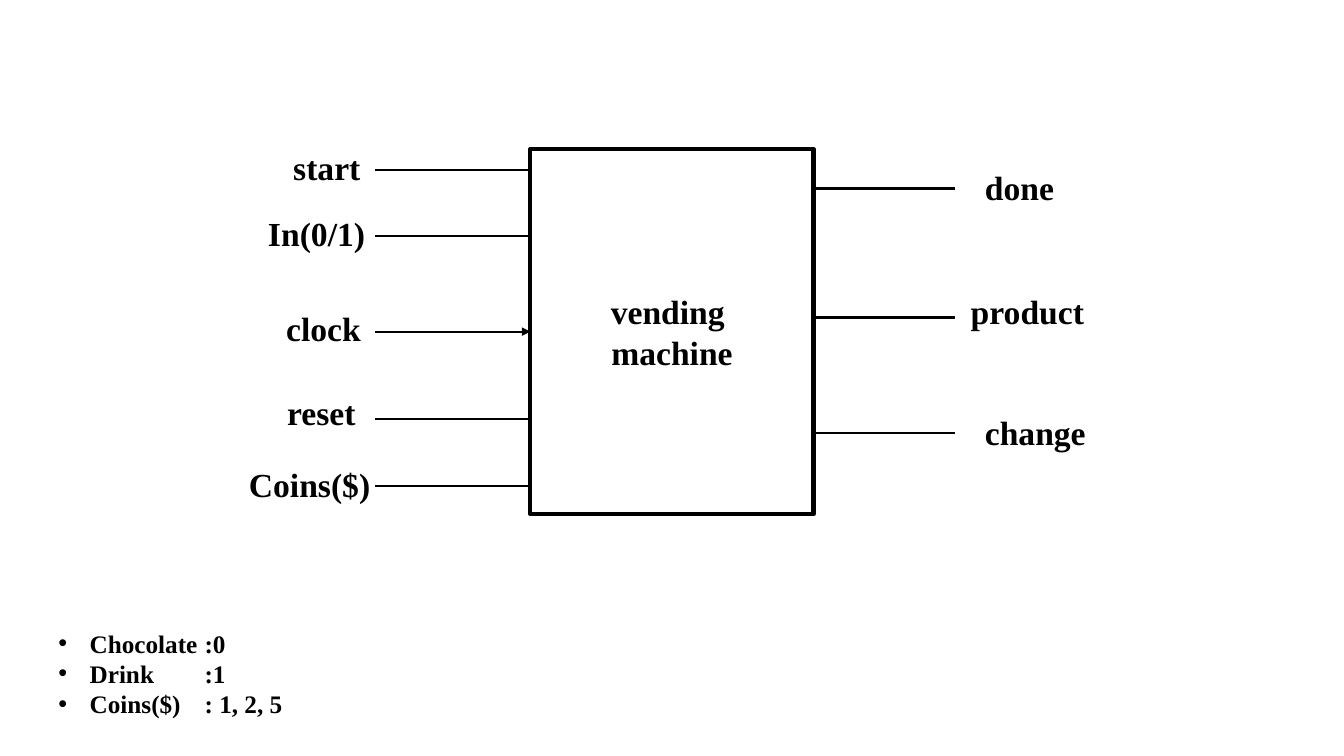
import pptx
import pptx.util
import pptx.dml.color
import pptx.enum.shapes
import pptx.enum.text
import pptx.oxml.ns
import lxml.etree

PX = 9144  # EMU per px, at 100 px to the inch
BLACK = "000000"


def color(value):
    return pptx.dml.color.RGBColor.from_string(value)


def write(frame, text, size, align):
    frame.text = text
    for para in frame.paragraphs:
        para.alignment = align
        for span in para.runs:
            span.font.name = "Times New Roman"
            span.font.size = pptx.util.Pt(size)
            span.font.bold = True
            span.font.color.rgb = color(BLACK)


deck = pptx.Presentation()
deck.slide_width, deck.slide_height = 1333 * PX, 750 * PX
page = deck.slides.add_slide(deck.slide_layouts[6])
LEFT = pptx.enum.text.PP_ALIGN.LEFT

# Machine block
machine_left, machine_right = 526, 807
machine = page.shapes.add_shape(
    pptx.enum.shapes.MSO_SHAPE.RECTANGLE,
    machine_left * PX, 148 * PX, (machine_right - machine_left) * PX, 362 * PX)
machine.shadow.inherit = False
machine.fill.solid()
machine.fill.fore_color.rgb = color("FFFFFF")
machine.line.color.rgb = color(BLACK)
machine.line.width = pptx.util.Pt(3)
machine.text_frame.vertical_anchor = pptx.enum.text.MSO_ANCHOR.MIDDLE
write(machine.text_frame, "vending \nmachine", 24, pptx.enum.text.PP_ALIGN.CENTER)

# Signals: name, label left, label top, label width, wire start, wire end, wire height
input_start, output_end = 372, 947
signals = [
    ("start", 281, 141, 130, machine_left, input_start, 169),
    ("In(0/1)", 256, 206, 130, machine_left, input_start, 234),
    ("clock", 274, 301, 130, input_start, machine_left, 329),
    ("reset", 275, 384, 130, machine_left, input_start, 416),
    ("Coins($)", 237, 455, 173, machine_left, input_start, 482),
    ("done", 967, 161, 130, output_end, machine_right, 187),
    ("product", 953, 284, 173, output_end, machine_right, 315),
    ("change", 967, 404, 130, output_end, machine_right, 430),
]
for name, left, top, width, start, end, height in signals:
    wire = page.shapes.add_connector(
        pptx.enum.shapes.MSO_CONNECTOR.STRAIGHT,
        start * PX, height * PX, end * PX, height * PX)
    wire.line.color.rgb = color(BLACK)
    wire.line.width = pptx.util.Pt(1.5)
    properties = wire.element.spPr
    lxml.etree.SubElement(properties, pptx.oxml.ns.qn("a:effectLst"))
    if name == "clock":
        wire.end_connect(machine, 1)
        lxml.etree.SubElement(properties.find(pptx.oxml.ns.qn("a:ln")),
                              pptx.oxml.ns.qn("a:tailEnd"), type="triangle")

    label = page.shapes.add_textbox(left * PX, top * PX, width * PX, 50 * PX)
    label.text_frame.word_wrap = True
    write(label.text_frame, name, 24, LEFT)

# Legend of codes, with the values lined up on a tab stop
legend = page.shapes.add_textbox(-52 * PX, 618 * PX, 666 * PX, 131 * PX)
legend.text_frame.word_wrap = True
legend.text_frame.margin_left = 110 * PX
write(legend.text_frame, "Chocolate\t:0\nDrink\t:1\nCoins($)\t: 1, 2, 5", 18, LEFT)
for para in legend.text_frame.paragraphs:
    settings = para._p.get_or_add_pPr()
    settings.set("marL", str(31 * PX))
    settings.set("indent", str(-31 * PX))
    lxml.etree.SubElement(settings, pptx.oxml.ns.qn("a:buFont"), typeface="Arial")
    lxml.etree.SubElement(settings, pptx.oxml.ns.qn("a:buChar"), char="•")
    tabs = lxml.etree.SubElement(settings, pptx.oxml.ns.qn("a:tabLst"))
    lxml.etree.SubElement(tabs, pptx.oxml.ns.qn("a:tab"), pos=str(145 * PX), algn="l")

deck.save("out.pptx")
